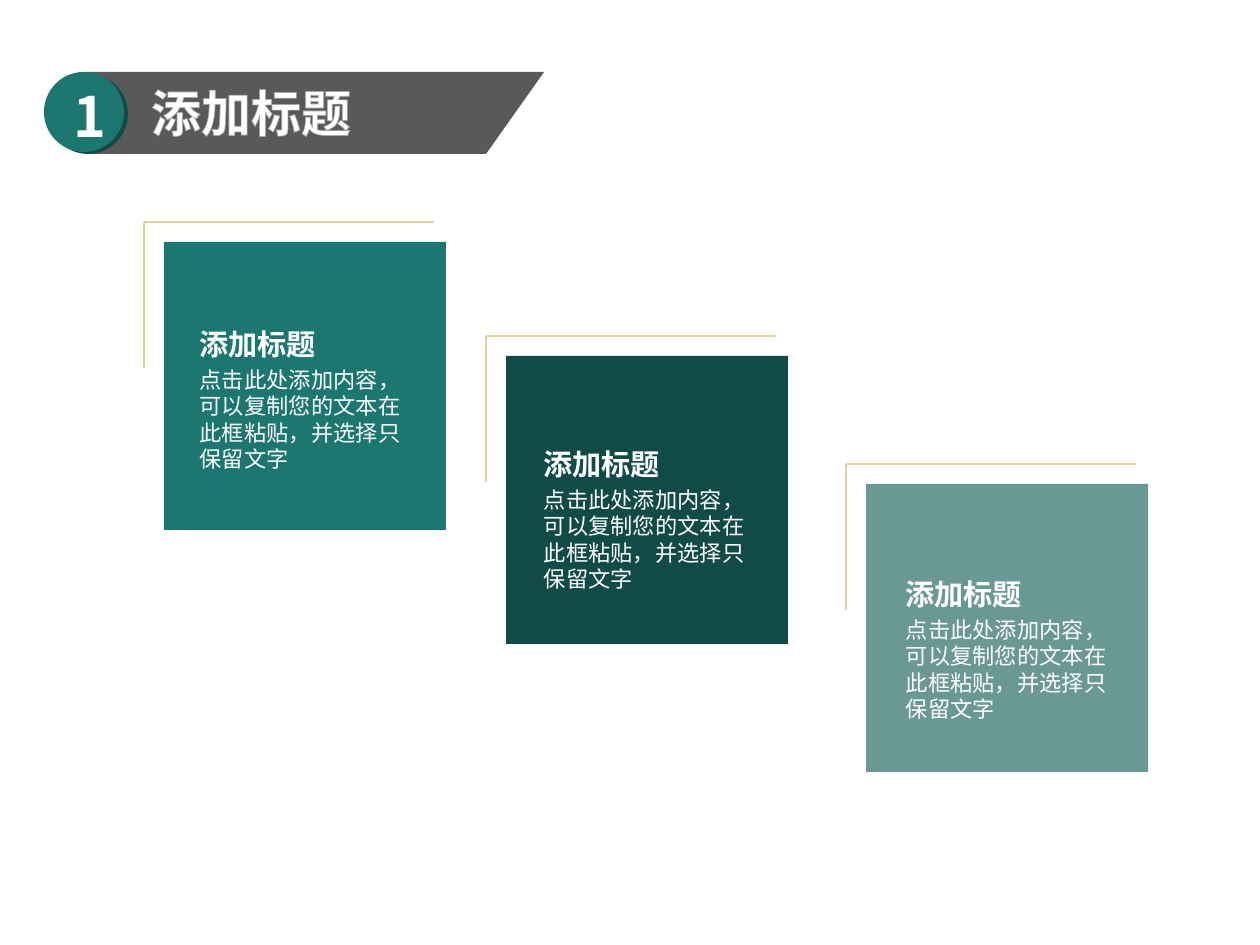
"""Build a section slide with three stepped text cards."""
from pptx import Presentation
from pptx.dml.color import RGBColor
from pptx.enum import shapes as sh, text as tx
from pptx.oxml import parse_xml
from pptx.oxml.ns import nsdecls, qn
from pptx.util import Cm, Inches, Pt

FONT = "Noto Sans CJK SC"
WHITE, GOLD, GREY, TEAL, DARK = "FFFFFF", "DFD2A0", "595959", "1C7770", "114B47"
TITLE, NUMBER = "添加标题", "1"
HEADING = "添加标题"
BODY = "点击此处添加内容，可以复制您的文本在此框粘贴，并选择只保留文字"
CARDS = [
    {"corner": (0.82, 1.21), "text": (0.9, 1.58), "color": TEAL, "alpha": 100},
    {"corner": (2.53, 1.78), "text": (2.62, 2.18), "color": DARK, "alpha": 100},
    {"corner": (4.33, 2.42), "text": (4.43, 2.83), "color": "165E59", "alpha": 64},
]
CARD_SIZE = (1.41, 1.44)
FRAME_GAP, FRAME_ARMS = 0.1, (1.45, 0.73)
BODY_DROP = 0.2


def rgb(color):
    return RGBColor.from_string(color)


def element(tag, attributes="", inner=""):
    return parse_xml(f'<a:{tag} {nsdecls("a")} {attributes}>{inner}</a:{tag}>')


def add_block(slide, preset, box, color, alpha=100):
    block = slide.shapes.add_shape(preset, *map(Inches, box))
    block.shadow.inherit = False
    block.fill.solid()
    block.fill.fore_color.rgb = rgb(color)
    block.line.fill.background()
    if alpha < 100:
        tint = block.element.spPr.find(".//" + qn("a:srgbClr"))
        tint.append(element("alpha", f'val="{alpha * 1000}"'))
    return block


def add_line(slide, start, end):
    arm = slide.shapes.add_connector(
        sh.MSO_CONNECTOR.STRAIGHT, *map(Inches, start + end))
    arm.line.color.rgb = rgb(GOLD)
    arm.line.width = Pt(1)
    arm.element.spPr.append(element("effectLst"))


def write(holder, words, size, bold=True, wrap=True, font=FONT):
    frame = holder.text_frame
    frame.word_wrap = wrap
    frame.auto_size = tx.MSO_AUTO_SIZE.NONE
    frame.vertical_anchor = tx.MSO_ANCHOR.TOP
    paragraph = frame.paragraphs[0]
    paragraph.line_spacing = 1.0
    paragraph.space_before = Pt(0)
    run = paragraph.add_run()
    run.text = words
    run.font.size, run.font.bold, run.font.name = Pt(size), bold, font
    run.font.color.rgb = rgb(WHITE)
    run._r.get_or_add_rPr().append(element("ea", f'typeface="{FONT}"'))
    return run


def add_text(slide, box, words, size, **style):
    write(slide.shapes.add_textbox(*map(Inches, box)), words, size, **style)


def add_card(slide, card):
    left, top = card["corner"]
    x, y = left - FRAME_GAP, top - FRAME_GAP
    across, down = FRAME_ARMS
    add_line(slide, (x, y), (x + across, y))
    add_line(slide, (x, y), (x, y + down))
    add_block(slide, sh.MSO_SHAPE.RECTANGLE, card["corner"] + CARD_SIZE,
              card["color"], card["alpha"])
    x, y = card["text"]
    add_text(slide, (x, y + BODY_DROP, 1.29, 0.5), BODY, 8, bold=False)
    add_text(slide, (x, y, 1.4, 0.28), HEADING, 10.5)


def add_banner(slide):
    add_block(slide, sh.MSO_SHAPE.RECTANGLE, (0.43, 0.36, 2, 0.41), GREY)
    add_block(slide, sh.MSO_SHAPE.OVAL, (0.24, 0.37, 0.4, 0.4), DARK)
    add_block(slide, sh.MSO_SHAPE.OVAL, (0.22, 0.36, 0.4, 0.4), TEAL)
    tip = add_block(slide, sh.MSO_SHAPE.ISOSCELES_TRIANGLE, (2.43, 0.36, 0.29, 0.41), GREY)
    tip.adjustments[0] = 0
    tip.element.spPr.find(qn("a:xfrm")).set("flipV", "1")
    add_text(slide, (0.27, 0.36, 0.4, 0.39), NUMBER, 20, wrap=False)

    title = slide.shapes.title
    title.left, title.top, title.width, title.height = map(Inches, (0.65, 0.36, 1.21, 0.4))
    run = write(title, TITLE, 18, wrap=False, font="Arial Narrow")
    title.text_frame.paragraphs[0].alignment = tx.PP_ALIGN.CENTER
    outline = '<a:solidFill><a:srgbClr val="A6A6A6"/></a:solidFill>'
    run._r.get_or_add_rPr().insert(0, element("ln", f'w="{Pt(0.75)}"', outline))
    title.element.getparent().append(title.element)


def main():
    deck = Presentation()
    deck.slide_width, deck.slide_height = Cm(16), Cm(12)
    slide = deck.slides.add_slide(deck.slide_layouts[5])
    for card in CARDS:
        add_card(slide, card)
    add_banner(slide)
    deck.save("out.pptx")


if __name__ == "__main__":
    main()
